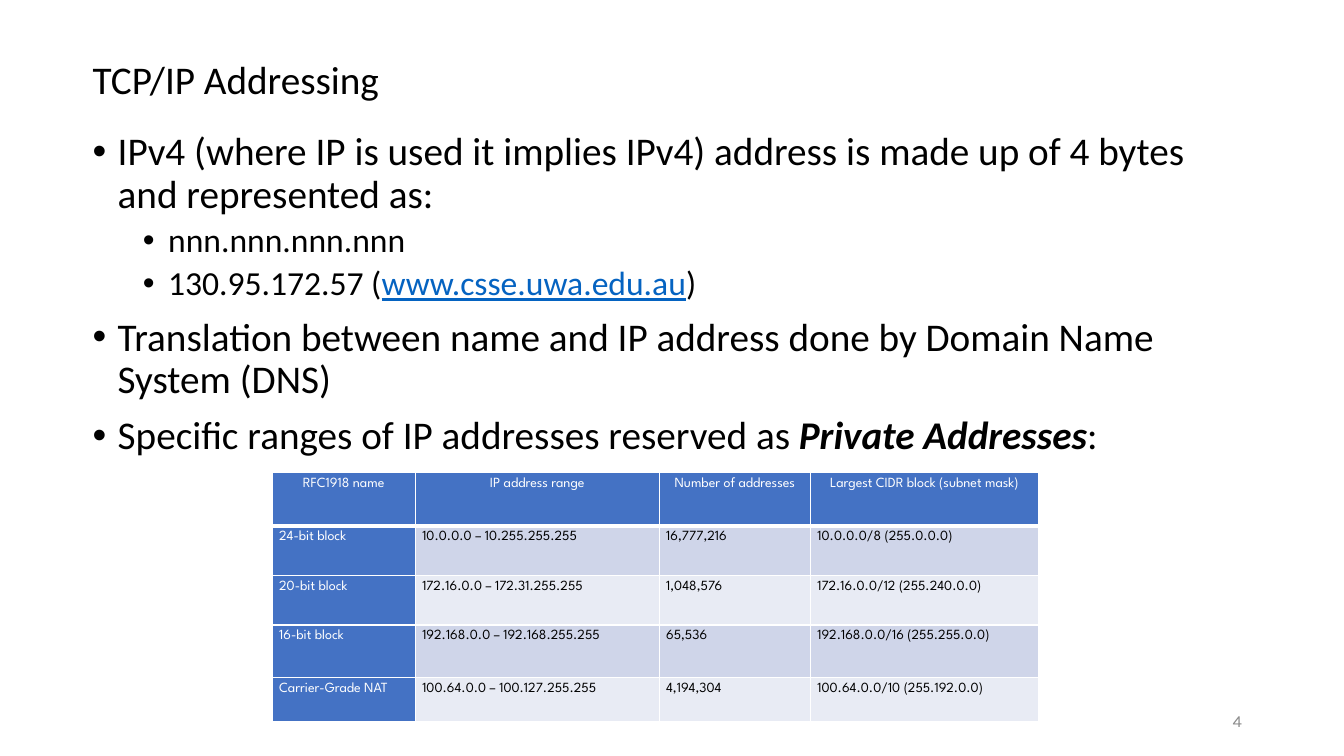
"""Build the TCP/IP addressing slide with its bullets and private address table."""
from dataclasses import dataclass

from lxml import etree
from pptx import Presentation
from pptx.dml.color import RGBColor
from pptx.enum.text import MSO_ANCHOR, PP_ALIGN
from pptx.oxml.ns import qn
from pptx.util import Pt

MIDDLE, TOP = MSO_ANCHOR.MIDDLE, MSO_ANCHOR.TOP
LEFT, CENTER, RIGHT = PP_ALIGN.LEFT, PP_ALIGN.CENTER, PP_ALIGN.RIGHT

COLORS = {
    "text": "000000", "link": "0563C1", "number": "8B8B8B", "white": "FFFFFF",
    "header": "4472C4", "band_dark": "CFD5E9", "band_light": "E8EBF4",
}


@dataclass(frozen=True)
class Span:
    text: str
    color: str = "text"
    strong: bool = False
    underline: bool = False


@dataclass(frozen=True)
class Bullet:
    spans: tuple[Span, ...]
    level: int = 0


BULLETS = (
    Bullet((Span("IPv4 (where IP is used it implies IPv4) address is made up of 4 bytes "
                 "and represented as:"),)),
    Bullet((Span("nnn.nnn.nnn.nnn"),), 1),
    Bullet((Span("130.95.172.57 ("),
            Span("www.csse.uwa.edu.au", "link", underline=True), Span(")")), 1),
    Bullet((Span("Translation between name and IP address done by "
                 "Domain Name System (DNS)"),)),
    Bullet((Span("Specific ranges of IP addresses reserved as "),
            Span("Private Addresses", strong=True), Span(":"))),
)
COLUMN_WIDTHS = (102.24, 174.24, 108, 162.72)
ROW_HEIGHTS = (38.16, 35.28, 35.28, 37.44, 31.68)
ADDRESS_ROWS = (
    ("RFC1918 name", "IP address range", "Number of addresses",
     "Largest CIDR block (subnet mask)"),
    ("24-bit block", "10.0.0.0 – 10.255.255.255", "16,777,216", "10.0.0.0/8 (255.0.0.0)"),
    ("20-bit block", "172.16.0.0 – 172.31.255.255", "1,048,576",
     "172.16.0.0/12 (255.240.0.0)"),
    ("16-bit block", "192.168.0.0 – 192.168.255.255", "65,536",
     "192.168.0.0/16 (255.255.0.0)"),
    ("Carrier-Grade NAT", "100.64.0.0 – 100.127.255.255", "4,194,304",
     "100.64.0.0/10 (255.192.0.0)"),
)


def rgb(color: str) -> RGBColor:
    return RGBColor.from_string(COLORS[color])


def set_font(run, name: str, size: float, color: str) -> None:
    run.font.name = name
    run.font.size = Pt(size)
    run.font.color.rgb = rgb(color)


def add_frame(slide, left: float, top: float, width: float, height: float, anchor):
    frame = slide.shapes.add_textbox(Pt(left), Pt(top), Pt(width), Pt(height)).text_frame
    frame.word_wrap = True
    frame.vertical_anchor = anchor
    return frame


def add_bullet(paragraph, bullet: Bullet, first: bool) -> None:
    properties = paragraph._p.get_or_add_pPr()
    properties.set("marL", str(Pt(18 + 36 * bullet.level)))
    properties.set("indent", str(Pt(-18)))
    bullet_color = etree.SubElement(properties, qn("a:buClr"))
    etree.SubElement(bullet_color, qn("a:srgbClr"), val=COLORS["text"])
    etree.SubElement(properties, qn("a:buFont"), typeface="Arial")
    etree.SubElement(properties, qn("a:buChar"), char="•")
    paragraph.level = bullet.level
    paragraph.line_spacing = 0.9
    if not first:
        paragraph.space_before = Pt(5 if bullet.level else 10)
    for span in bullet.spans:
        run = paragraph.add_run()
        run.text = span.text
        set_font(run, "Calibri", 24 if bullet.level else 28, span.color)
        run.font.bold = run.font.italic = span.strong
        run.font.underline = span.underline


def add_borders(cell, row: int) -> None:
    thick_side = {0: "lnB", 1: "lnT"}.get(row)
    properties = cell._tc.get_or_add_tcPr()
    for side in ("lnL", "lnR", "lnT", "lnB"):
        width = 3 if side == thick_side else 0.96
        line = etree.SubElement(properties, qn(f"a:{side}"), w=str(Pt(width)))
        fill = etree.SubElement(line, qn("a:solidFill"))
        etree.SubElement(fill, qn("a:srgbClr"), val=COLORS["white"])


def fill_cell(cell, text: str, row: int, column: int) -> None:
    heading = row == 0 or column == 0
    band = "band_dark" if row % 2 else "band_light"
    add_borders(cell, row)
    cell.fill.solid()
    cell.fill.fore_color.rgb = rgb("header" if heading else band)
    cell.margin_left = cell.margin_right = Pt(5.04)
    cell.margin_top = cell.margin_bottom = Pt(3.6)
    cell.vertical_anchor = TOP
    cell.text_frame.text = text
    paragraph = cell.text_frame.paragraphs[0]
    paragraph.alignment = LEFT if row else CENTER
    set_font(paragraph.runs[0], "League Spartan", 10, "white" if heading else "text")


def add_address_table(slide) -> None:
    table = slide.shapes.add_table(
        len(ROW_HEIGHTS), len(COLUMN_WIDTHS), Pt(194.4), Pt(337.68),
        Pt(sum(COLUMN_WIDTHS)), Pt(sum(ROW_HEIGHTS))).table
    for column, width in zip(table.columns, COLUMN_WIDTHS):
        column.width = Pt(width)
    for row, height in zip(table.rows, ROW_HEIGHTS):
        row.height = Pt(height)
    for row, texts in enumerate(ADDRESS_ROWS):
        for column, text in enumerate(texts):
            fill_cell(table.cell(row, column), text, row, column)


def main() -> None:
    deck = Presentation()
    deck.slide_width, deck.slide_height = Pt(960), Pt(540)
    slide = deck.slides.add_slide(deck.slide_layouts[6])

    title = add_frame(slide, 59.04, 25.92, 860.4, 64.8, MIDDLE)
    title.text = "TCP/IP Addressing"
    title.paragraphs[0].line_spacing = 0.9
    set_font(title.paragraphs[0].runs[0], "Calibri", 28, "text")

    page_number = add_frame(slide, 678.24, 500.4, 216, 28.8, MIDDLE)
    page_number.text = "4"
    page_number.paragraphs[0].alignment = RIGHT
    set_font(page_number.paragraphs[0].runs[0], "Karla", 12, "number")

    body = add_frame(slide, 59.04, 90.72, 835.2, 394.56, TOP)
    for index, bullet in enumerate(BULLETS):
        paragraph = body.add_paragraph() if index else body.paragraphs[0]
        add_bullet(paragraph, bullet, first=index == 0)

    add_address_table(slide)
    deck.save("out.pptx")


if __name__ == "__main__":
    main()
